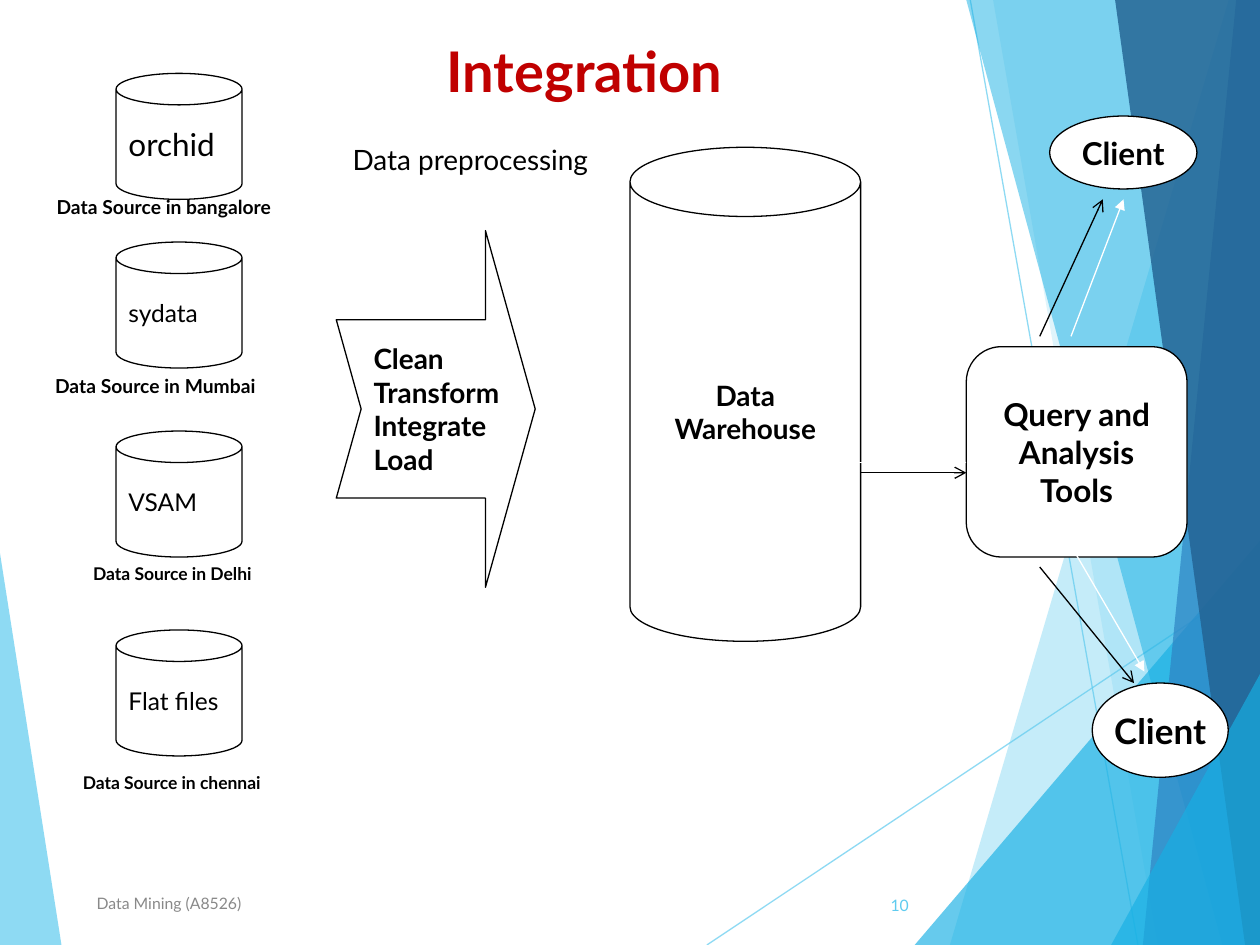
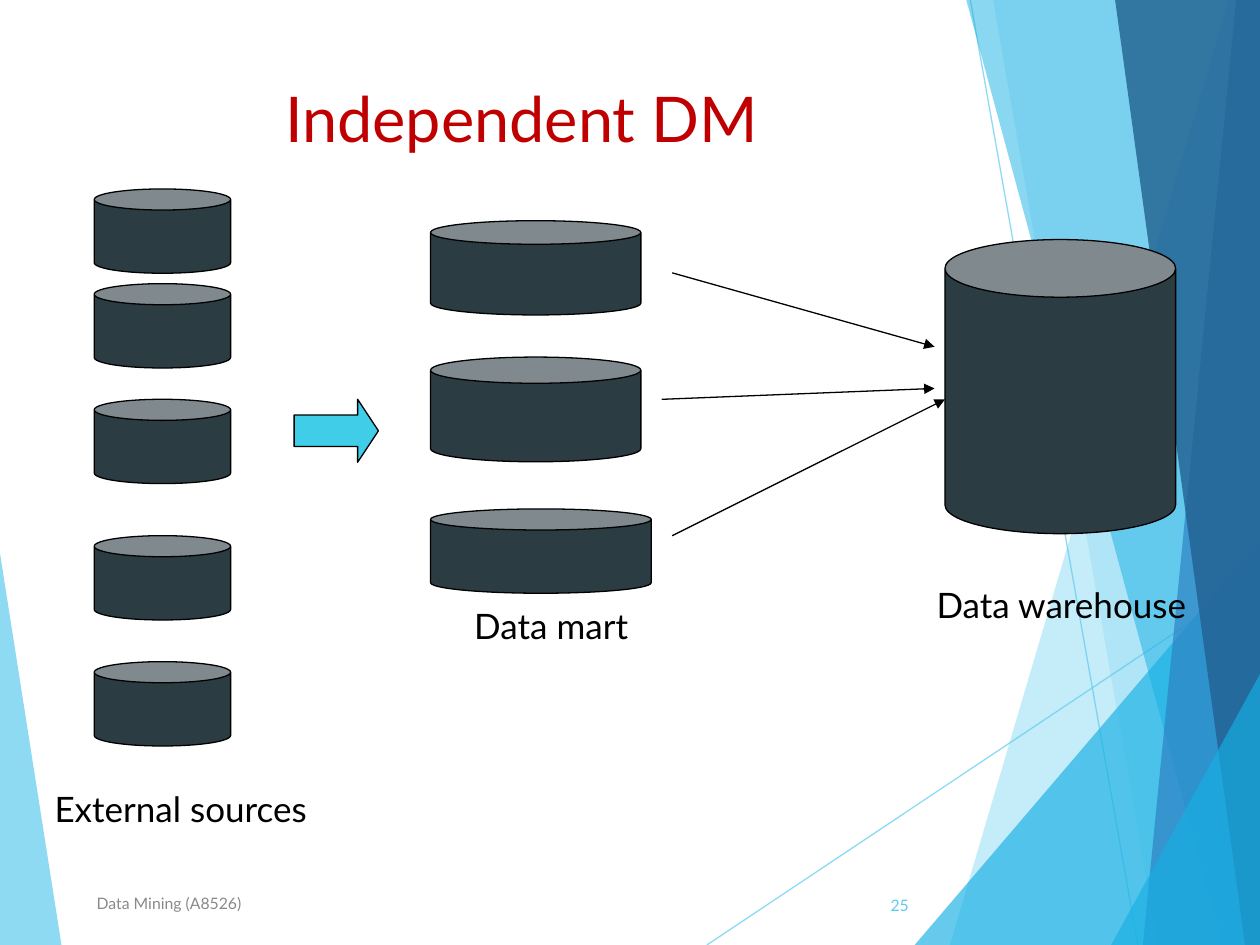
from lxml.etree import SubElement
from pptx import Presentation
from pptx.dml.color import RGBColor
from pptx.enum.shapes import MSO_CONNECTOR, MSO_SHAPE
from pptx.enum.text import MSO_ANCHOR, MSO_AUTO_SIZE, PP_ALIGN
from pptx.oxml.ns import qn
from pptx.util import Cm, Pt

FONT = "Lato"
WIDTH, HEIGHT = 25.4, 19.05
COLORS = {
    "title": "C00000",
    "ink": "000000",
    "paper": "FFFFFF",
    "footer": "898989",
    "sky": "5FCBEF",
    "azure": "17B0E4",
    "blue": "2E83C3",
    "navy": "236292",
    "store": "2C3C43",
    "flow": "3FCDE7",
}

# Facets of the backdrop: colour, opacity in percent, corners in cm
LEFT_FACET = ("sky", 70, [(0, 11.15), (1.24, HEIGHT), (0, HEIGHT)])
RIGHT_FACETS = [
    ("sky", 36, [(24.77, 0), (19.15, HEIGHT), (WIDTH, HEIGHT), (WIDTH, 0)]),
    ("sky", 20, [(20.02, 0), (23.34, HEIGHT), (WIDTH, HEIGHT), (WIDTH, 0)]),
    ("azure", 66, [(18.44, HEIGHT), (WIDTH, 10.9), (WIDTH, HEIGHT)]),
    ("azure", 50, [(19.48, 0), (24.64, HEIGHT), (WIDTH, HEIGHT), (WIDTH, 0)]),
    ("blue", 70, [(24.92, 0), (23.04, HEIGHT), (WIDTH, HEIGHT), (WIDTH, 0)]),
    ("navy", 82, [(22.48, 0), (25.1, HEIGHT), (WIDTH, HEIGHT), (WIDTH, 0)]),
    ("azure", 66, [(22.4, HEIGHT), (WIDTH, 13.59), (WIDTH, HEIGHT)]),
]
RAYS = [((14.25, HEIGHT), (WIDTH, 11.61)), ((19.56, 0), (22.94, HEIGHT))]


def rgb(color):
    return RGBColor.from_string(COLORS[color])


def set_opacity(shape, percent):
    for color in shape.element.xpath(".//a:srgbClr"):
        SubElement(color, qn("a:alpha")).set("val", str(percent * 1000))


def write(shape, text, size, color="ink", bold=False, align=PP_ALIGN.LEFT):
    frame = shape.text_frame
    frame.text = text
    for paragraph in frame.paragraphs:
        paragraph.alignment = align
        for run in paragraph.runs:
            run.font.name = FONT
            run.font.size = Pt(size)
            run.font.bold = bold
            run.font.color.rgb = rgb(color)


def add_label(slide, text, box, size, anchor=MSO_ANCHOR.TOP, **style):
    label = slide.shapes.add_textbox(*map(Cm, box))
    label.text_frame.word_wrap = True
    label.text_frame.vertical_anchor = anchor
    write(label, text, size, **style)


def add_outlined(slide, preset, box, fill="paper", adjustments=()):
    """Add a preset shape with a thin black outline and no shadow."""
    shape = slide.shapes.add_shape(preset, *map(Cm, box))
    shape.shadow.inherit = False
    shape.fill.solid()
    shape.fill.fore_color.rgb = rgb(fill)
    shape.line.color.rgb = rgb("ink")
    shape.line.width = Pt(0.75)
    for index, value in enumerate(adjustments):
        shape.adjustments[index] = value
    return shape


def add_node(slide, preset, box, text, size, bold=True,
             align=PP_ALIGN.CENTER, adjustments=()):
    """Add an outlined shape that carries text."""
    node = add_outlined(slide, preset, box, adjustments=adjustments)
    node.text_frame.word_wrap = False
    node.text_frame.vertical_anchor = MSO_ANCHOR.MIDDLE
    write(node, text, size, bold=bold, align=align)


def add_line(slide, start, end, color="ink", head=None):
    line = slide.shapes.add_connector(
        MSO_CONNECTOR.STRAIGHT, *map(Cm, (*start, *end)))
    line.line.color.rgb = rgb(color)
    line.line.width = Pt(0.75)
    if head:
        outline = line.element.xpath(".//a:ln")[0]
        SubElement(outline, qn("a:tailEnd")).set("type", head)
    SubElement(line.element.spPr, qn("a:effectLst"))
    return line


def add_facet(slide, color, opacity, corners):
    start, *others = [(Cm(x), Cm(y)) for x, y in corners]
    builder = slide.shapes.build_freeform(*start)
    builder.add_line_segments(others, close=True)
    facet = builder.convert_to_shape()
    facet.shadow.inherit = False
    facet.fill.solid()
    facet.fill.fore_color.rgb = rgb(color)
    facet.line.fill.background()
    set_opacity(facet, opacity)


def move_to_layout(slide):
    """Hand everything drawn so far to the layout, so all slides share it."""
    drawn = [shape for shape in slide.shapes if not shape.is_placeholder]
    for number, shape in enumerate(drawn, start=100):
        shape.element.xpath(".//p:cNvPr")[0].set("id", str(number))
        slide.slide_layout.shapes.element.append(shape.element)


def draw_backdrop(slide):
    add_facet(slide, *LEFT_FACET)
    for start, end in RAYS:
        set_opacity(add_line(slide, start, end, "sky"), 70)
    for facet in RIGHT_FACETS:
        add_facet(slide, *facet)
    add_label(slide, "Data Mining (A8526)", (1.7, 17.7, 12.85, 1.02), 9,
              MSO_ANCHOR.MIDDLE, color="footer")
    move_to_layout(slide)


def fill_title(slide, text, box, size, bold=False):
    title = slide.shapes.title
    title.left, title.top, title.width, title.height = map(Cm, box)
    title.text_frame.auto_size = MSO_AUTO_SIZE.NONE
    title.text_frame.vertical_anchor = MSO_ANCHOR.TOP
    write(title, text, size, "title", bold, PP_ALIGN.CENTER)


def add_page_number(slide, number):
    add_label(slide, str(number), (17.15, 17.73, 1.42, 1.02), 9,
              MSO_ANCHOR.MIDDLE, color="sky", align=PP_ALIGN.RIGHT)


def build_integration(slide):
    fill_title(slide, "Integration", (2.97, 0.6, 17.63, 2.46), 32, bold=True)
    add_page_number(slide, 10)

    # Source, text size, can top, then place label, its left, top and size
    sources = [
        ("orchid", 18, 1.48, "Data Source in bangalore", 0.89, 3.81, 11),
        ("sydata", 14, 4.88, "Data Source in Mumbai", 0.86, 7.42, 11),
        ("VSAM", 14, 8.69, "Data Source in Delhi", 1.63, 11.23, 10),
        ("Flat files", 14, 12.7, "Data Source in chennai", 1.42, 15.44, 10),
    ]
    for source, size, can_top, place, left, top, place_size in sources:
        add_node(slide, MSO_SHAPE.CAN, (2.34, can_top, 2.54, 2.54), source,
                 size, bold=False, align=PP_ALIGN.LEFT)
        add_label(slide, place, (left, top, 5.4, 0.7), place_size, bold=True)

    add_label(slide, "Data preprocessing", (6.86, 2.74, 5.6, 0.9), 16)
    add_node(slide, MSO_SHAPE.NOTCHED_RIGHT_ARROW, (6.78, 4.65, 4.01, 7.19),
             "Clean\nTransform\nIntegrate\nLoad", 16, align=PP_ALIGN.LEFT,
             adjustments=(0.5, 0.25))
    add_node(slide, MSO_SHAPE.CAN, (12.7, 2.97, 4.65, 9.96),
             "Data\nWarehouse", 16, adjustments=(0.3,))
    add_node(slide, MSO_SHAPE.ROUNDED_RECTANGLE, (19.48, 6.99, 4.45, 4.24),
             "Query and\nAnalysis\nTools", 18)
    add_node(slide, MSO_SHAPE.OVAL, (21.16, 2.34, 2.97, 1.47), "Client", 18)
    add_node(slide, MSO_SHAPE.OVAL, (22.02, 13.77, 2.74, 1.9), "Client", 20)

    white_flows = [((21.59, 6.78), (22.65, 4.02)),
                   ((21.59, 11), (23.07, 13.54)),
                   ((17.15, 9.32), (19.48, 9.32))]
    black_flows = [((20.96, 6.78), (22.23, 4.02)),
                   ((17.36, 9.53), (19.48, 9.53)),
                   ((20.96, 11.43), (22.86, 13.77))]
    for start, end in white_flows:
        add_line(slide, start, end, "paper", "triangle")
    for start, end in black_flows:
        add_line(slide, start, end, head="arrow")


def build_independent_mart(slide):
    fill_title(slide, "Independent DM", (1.7, 1.48, 17.63, 1.9), 36)
    add_page_number(slide, 25)

    sources = [(1.9, top, 2.75, 1.7)
               for top in (3.81, 5.72, 8.05, 10.8, 13.34)]
    marts = [(8.68, 4.45, 4.24, 1.9), (8.68, 7.2, 4.24, 2.11),
             (8.68, 10.26, 4.45, 1.7)]
    warehouse = (19.05, 4.83, 4.65, 5.93)
    for store in [*sources, *marts, warehouse]:
        add_outlined(slide, MSO_SHAPE.CAN, store, "store")
    add_outlined(slide, MSO_SHAPE.RIGHT_ARROW, (5.93, 8.05, 1.7, 1.27),
                 "flow", (0.5, 0.33))

    for start, end in [((13.55, 5.5), (18.84, 6.99)),
                       ((13.34, 8.05), (18.84, 7.83)),
                       ((13.55, 10.8), (19.05, 8.05))]:
        add_line(slide, start, end, head="triangle")

    for caption, left, top in [("External sources", 0.85, 15.75),
                               ("Data mart", 9.31, 12.07),
                               ("Data warehouse", 18.63, 11.64)]:
        add_label(slide, caption, (left, top, 6.35, 1.12), 20)


def main():
    deck = Presentation()
    deck.slide_width, deck.slide_height = Cm(WIDTH), Cm(HEIGHT)
    title_only = deck.slide_layouts[5]
    integration = deck.slides.add_slide(title_only)
    draw_backdrop(integration)
    build_integration(integration)
    build_independent_mart(deck.slides.add_slide(title_only))
    deck.save("out.pptx")


if __name__ == "__main__":
    main()
